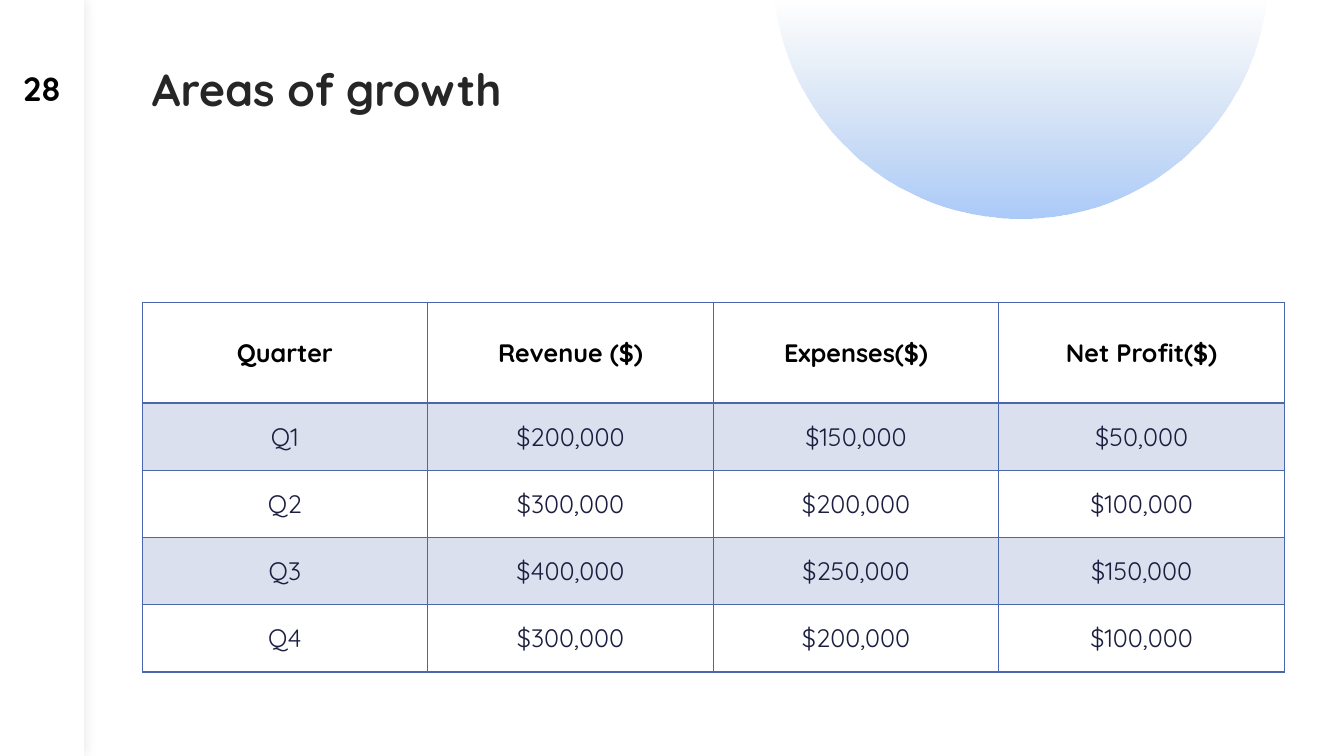
import math

import lxml.etree
import pptx
import pptx.dml.color
import pptx.enum.shapes
import pptx.enum.text
import pptx.oxml
import pptx.oxml.ns
import pptx.util

Pt = pptx.util.Pt
RGB = pptx.dml.color.RGBColor.from_string
CENTER = pptx.enum.text.PP_ALIGN.CENTER
MIDDLE = pptx.enum.text.MSO_ANCHOR.MIDDLE
qn = pptx.oxml.ns.qn
COLORS = {
    "white": "FFFFFF",
    "black": "000000",
    "title": "262626",
    "body": "1B1E3E",
    "accent": "4A66AC",
    "circle_top": "B4CCE7",
    "circle_bottom": "ACCBF9",
}


def set_alpha(parent, percent):
    """Set the opacity of every colour below an XML element."""
    for color in parent.iter(qn("a:srgbClr")):
        lxml.etree.SubElement(color, qn("a:alpha"), val=str(percent * 1000))


def style_paragraph(paragraph, size, color, bold):
    paragraph.font.name = "Quicksand"
    paragraph.font.size = Pt(size)
    paragraph.font.bold = bold
    paragraph.font.color.rgb = RGB(COLORS[color])


presentation = pptx.Presentation()
presentation.slide_width = Pt(960)
presentation.slide_height = Pt(540)
slide = presentation.slides.add_slide(presentation.slide_layouts[6])

# Circle cut off by the top edge of the slide
center_x, center_y, radius = 729, -20.6, 176.8
start_angle = math.asin(-center_y / radius)
steps = 120
arc = []
for step in range(steps + 1):
    angle = start_angle + (math.pi - 2 * start_angle) * step / steps
    arc.append((Pt(center_x + radius * math.cos(angle)),
                Pt(center_y + radius * math.sin(angle))))
builder = slide.shapes.build_freeform(*arc[0])
builder.add_line_segments(arc[1:], close=True)
circle = builder.convert_to_shape()
circle.shadow.inherit = False
circle.line.fill.background()
circle.fill.gradient()
circle.fill.gradient_angle = 270
for stop, position, color in zip(circle.fill.gradient_stops, (0, 1),
                                 ("circle_top", "circle_bottom")):
    stop.position = position
    stop.color.rgb = RGB(COLORS[color])
set_alpha(circle.element.spPr.find(".//" + qn("a:gs")), 0)

# Side strip with a soft shadow
strip = slide.shapes.add_shape(
    pptx.enum.shapes.MSO_SHAPE.RECTANGLE, 0, 0, Pt(60), Pt(540))
strip.fill.solid()
strip.fill.fore_color.rgb = RGB(COLORS["white"])
strip.line.fill.background()
strip.shadow.inherit = False
effects = strip.element.spPr.find(qn("a:effectLst"))
shadow = lxml.etree.SubElement(
    effects, qn("a:outerShdw"), blurRad=str(Pt(10)), dist="0", dir="0",
    algn="ctr", rotWithShape="0")
lxml.etree.SubElement(shadow, qn("a:srgbClr"), val=COLORS["black"])
set_alpha(shadow, 10)

# Title and slide number
title = slide.shapes.add_textbox(Pt(101.5), Pt(48), Pt(387.5), Pt(114))
title.text_frame.word_wrap = True
paragraph = title.text_frame.paragraphs[0]
paragraph.text = "Areas of growth"
paragraph.line_spacing = 0.8
style_paragraph(paragraph, 32, "title", True)

number = slide.shapes.add_textbox(0, Pt(48), Pt(60), Pt(30))
number.text_frame.word_wrap = True
number.text_frame.vertical_anchor = MIDDLE
paragraph = number.text_frame.paragraphs[0]
paragraph.text = "28"
paragraph.alignment = CENTER
style_paragraph(paragraph, 24, "black", True)

# Quarterly figures
figures = [
    ("Quarter", "Revenue ($)", "Expenses($)", "Net Profit($)"),
    ("Q1", "$200,000", "$150,000", "$50,000"),
    ("Q2", "$300,000", "$200,000", "$100,000"),
    ("Q3", "$400,000", "$250,000", "$150,000"),
    ("Q4", "$300,000", "$200,000", "$100,000"),
]
table = slide.shapes.add_table(
    5, 4, Pt(101.5), Pt(216), Pt(816), Pt(264)).table
table.horz_banding = False
for row_index, texts in enumerate(figures):
    is_header = row_index == 0
    table.rows[row_index].height = Pt(72 if is_header else 48)
    for column_index, text in enumerate(texts):
        cell = table.cell(row_index, column_index)
        cell.vertical_anchor = MIDDLE
        paragraph = cell.text_frame.paragraphs[0]
        paragraph.text = text
        paragraph.alignment = CENTER
        style_paragraph(paragraph, 18, "black" if is_header else "body", is_header)

        properties = cell._tc.get_or_add_tcPr()
        for side in ("L", "R", "T", "B"):
            under_header = (row_index, side) in ((0, "B"), (1, "T"))
            border = lxml.etree.SubElement(
                properties, qn("a:ln" + side), w=str(Pt(2 if under_header else 1)))
            fill = lxml.etree.SubElement(border, qn("a:solidFill"))
            lxml.etree.SubElement(fill, qn("a:srgbClr"), val=COLORS["accent"])
        if row_index % 2:
            cell.fill.solid()
            cell.fill.fore_color.rgb = RGB(COLORS["accent"])
            set_alpha(properties.find(qn("a:solidFill")), 20)
        else:
            cell.fill.background()

presentation.save("out.pptx")
